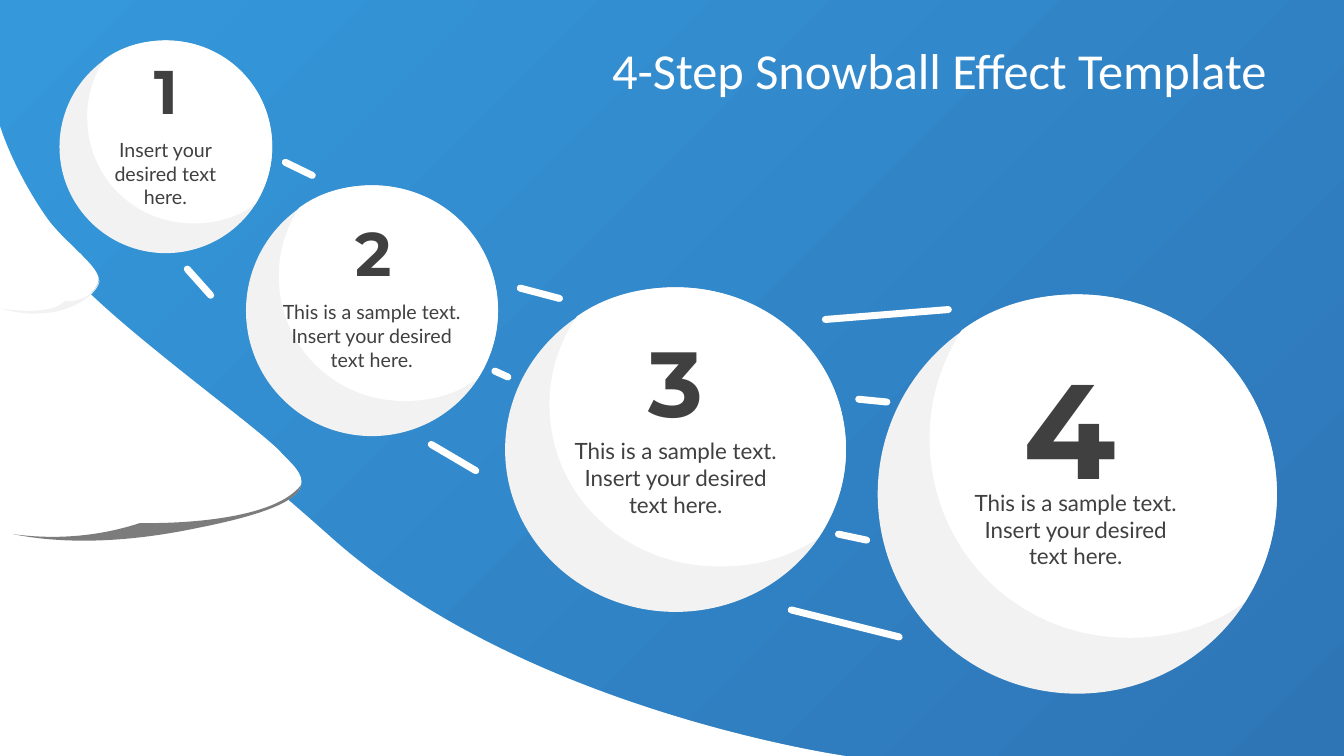
from dataclasses import dataclass

from lxml import etree
from pptx import Presentation
from pptx.dml.color import RGBColor
from pptx.enum.shapes import MSO_CONNECTOR, MSO_SHAPE
from pptx.enum.text import MSO_ANCHOR, PP_ALIGN
from pptx.oxml.ns import qn
from pptx.util import Cm, Pt

STRAIGHT = MSO_CONNECTOR.STRAIGHT
OVAL = MSO_SHAPE.OVAL
TOP, MIDDLE = MSO_ANCHOR.TOP, MSO_ANCHOR.MIDDLE
CENTER, RIGHT = PP_ALIGN.CENTER, PP_ALIGN.RIGHT

WHITE, SHADE, GREY, INK = "FFFFFF", "F2F2F2", "7C7C7C", "404040"
SKY_LIGHT, SKY_DARK = "3498DB", "2E75B6"
SAMPLE = "This is a sample text. Insert your desired text here."

Box = tuple[float, float, float, float]  # left, top, width, height in cm
Point = tuple[float, float]


@dataclass
class Outline:
    """A closed outline: each segment is a line (x, y) or a cubic curve (6 values)."""
    start: Point
    segments: list[tuple[float, ...]]
    fill: str = WHITE


@dataclass
class Label:
    """A text with its box and font."""
    text: str
    box: Box
    size: int
    font: str = "Lato"
    color: str = INK
    bold: bool = False
    anchor: MSO_ANCHOR = TOP
    align: PP_ALIGN = CENTER
    wrap: bool = True


@dataclass
class Snowball:
    """One step: the ball, its number and its caption."""
    ball: Box
    number: str
    number_box: Box
    number_size: int
    caption: str
    caption_box: Box
    caption_size: int


SNOWBALLS = [
    Snowball((1.5, 1.02, 5.36, 5.36), "1", (3.66, 1.32, 1.04, 1.88), 44,
             "Insert your desired text here.", (2.39, 3.48, 3.56, 1.8), 14),
    Snowball((6.2, 4.67, 6.35, 6.32), "2", (8.05, 5.41, 2.72, 1.88), 44,
             SAMPLE, (7.11, 7.57, 4.52, 1.8), 14),
    Snowball((12.73, 7.24, 8.59, 8.18), "3", (15.67, 8.66, 2.72, 1.88), 66,
             SAMPLE, (14.25, 11.02, 5.56, 2.06), 16),
    Snowball((22.12, 7.42, 10.06, 10.06), "4", (24.33, 9.22, 5.28, 3.02), 96,
             SAMPLE, (24.33, 12.32, 5.56, 2.06), 16),
]

# Lit part of a ball, as fractions of the ball's box
HIGHLIGHT = Outline((0.5, 0), [
    (0.39, 0, 0.29, 0.03, 0.21, 0.09), (0.16, 0.17, 0.13, 0.26, 0.13, 0.36),
    (0.13, 0.64, 0.35, 0.86, 0.63, 0.86), (0.74, 0.86, 0.84, 0.83, 0.92, 0.77),
    (0.97, 0.69, 1, 0.6, 1, 0.5), (1, 0.22, 0.78, 0, 0.5, 0)])

SPEED_LINES = [
    (7.19, 4.09, 7.87, 4.42), (4.72, 6.78, 5.31, 7.44),
    (13.11, 7.26, 14.1, 7.52), (12.47, 9.35, 12.8, 9.5),
    (10.87, 11.2, 11.99, 11.86), (20.8, 8.05, 23.9, 7.8),
    (21.64, 10.06, 22.35, 10.13), (21.13, 13.46, 21.84, 13.61),
    (19.94, 15.37, 22.66, 16.05),
]

SLOPE = Outline((0, 7.14), [
    (0, 19.05), (21.31, 19.05), (21.31, 19.05, 13.21, 17.91, 8.31, 13.51),
    (3.38, 9.12, 0, 7.14, 0, 7.14)])
LOWER_DRIFT = Outline((7.06, 11.38), [
    (6.55, 10.82, 3.33, 8.51, 1.98, 7.11), (1.14, 6.25, 0.43, 5.11, 0, 4.19),
    (0, 13.36), (0.76, 13.59, 2.41, 13.84, 4.95, 13.31),
    (8.66, 12.57, 7.54, 11.91, 7.06, 11.38)])
LOWER_SHADOW = Outline((4.95, 13.31), [
    (6.88, 12.93, 7.52, 12.57, 7.59, 12.22), (6.78, 13.28, 3.53, 13.18, 3.53, 13.18),
    (2.13, 13.64, 0.91, 13.54, 0.33, 13.46),
    (1.22, 13.64, 2.74, 13.77, 4.95, 13.31)], GREY)
UPPER_DRIFT = Outline((1.27, 5.61), [
    (0.94, 5.18, 0.33, 4.19, 0, 3.18), (0, 7.77),
    (0.28, 7.85, 0.61, 7.92, 0.89, 7.9), (1.8, 7.9, 2.44, 7.39, 2.49, 7.06),
    (2.51, 6.73, 1.7, 6.15, 1.27, 5.61)])
UPPER_SHADOW = Outline((2.51, 7.06), [
    (2.31, 7.65, 1.63, 7.59, 1.63, 7.59), (1.24, 8, 0.03, 7.77, 0, 7.77),
    (0.3, 7.85, 0.64, 7.92, 0.94, 7.9), (1.83, 7.9, 2.49, 7.39, 2.51, 7.06)], SHADE)

TITLE = Label("4-Step Snowball Effect Template", (1.95, 0.76, 30.23, 1.98), 36,
              "Calibri", WHITE, anchor=MIDDLE, align=RIGHT)


def rgb(color: str) -> RGBColor:
    """Turn a hex string into a colour."""
    return RGBColor.from_string(color)


def paint(sp, color: str) -> None:
    """Give a shape a flat fill without line or shadow."""
    sp.fill.solid()
    sp.fill.fore_color.rgb = rgb(color)
    sp.line.fill.background()
    sp.shadow.inherit = False


def bend(sp, segments: list[tuple[float, ...]]) -> None:
    """Merge the three line steps of each curved segment into one cubic curve."""
    steps = iter(list(sp._element.iter(qn("a:lnTo"))))
    for seg in segments:
        first = next(steps)
        if len(seg) == 2:
            continue
        curve = etree.Element(qn("a:cubicBezTo"))
        first.addprevious(curve)
        for step in (first, next(steps), next(steps)):
            curve.append(step[0])
            step.getparent().remove(step)


def add_outline(s, outline: Outline, frame: Box = (0, 0, 1, 1)) -> None:
    """Draw an outline, stretched into a frame."""
    x, y, w, h = frame
    points = [outline.start]
    for seg in outline.segments:
        points += zip(seg[::2], seg[1::2])
    points = [(Cm(x + px * w), Cm(y + py * h)) for px, py in points]
    builder = s.shapes.build_freeform(*points[0], scale=1.0)
    builder.add_line_segments(points[1:], close=True)
    sp = builder.convert_to_shape()
    bend(sp, outline.segments)
    paint(sp, outline.fill)


def add_label(s, label: Label, inset: float = 0) -> None:
    """Add a text box with one formatted paragraph."""
    tf = s.shapes.add_textbox(*map(Cm, label.box)).text_frame
    tf.word_wrap = label.wrap
    tf.vertical_anchor = label.anchor
    tf.margin_left = tf.margin_right = tf.margin_top = tf.margin_bottom = Cm(inset)
    p = tf.paragraphs[0]
    p.text = label.text
    p.alignment = label.align
    font = p.runs[0].font
    font.name, font.size, font.bold = label.font, Pt(label.size), label.bold
    font.color.rgb = rgb(label.color)


def add_snowball(s, step: Snowball) -> None:
    """Draw a ball with its highlight, number and caption."""
    paint(s.shapes.add_shape(OVAL, *map(Cm, step.ball)), SHADE)
    add_outline(s, HIGHLIGHT, step.ball)
    add_label(s, Label(step.caption, step.caption_box, step.caption_size))
    add_label(s, Label(step.number, step.number_box, step.number_size, "Montserrat",
                       bold=True, anchor=MIDDLE, wrap=False))


def add_speed_line(s, ends: Box) -> None:
    """Draw a white line with round ends."""
    sp = s.shapes.add_connector(STRAIGHT, *map(Cm, ends))
    sp.line.width = Pt(5)
    sp.line.color.rgb = rgb(WHITE)
    sp_pr = sp._element.spPr
    sp_pr.find(qn("a:ln")).set("cap", "rnd")
    etree.SubElement(sp_pr, qn("a:effectLst"))


def add_sky(s) -> None:
    """Fill the background with a diagonal blue gradient."""
    fill = s.background.fill
    fill.gradient()
    fill.gradient_angle = 315
    for stop, color, position in zip(fill.gradient_stops, (SKY_LIGHT, SKY_DARK), (0.01, 1)):
        stop.color.rgb = rgb(color)
        stop.position = position


prs = Presentation()
prs.slide_width, prs.slide_height = Cm(33.87), Cm(19.05)
s = prs.slides.add_slide(prs.slide_layouts[6])
add_sky(s)
for snowball in SNOWBALLS:
    add_snowball(s, snowball)
for speed_line in SPEED_LINES:
    add_speed_line(s, speed_line)
for snow in (SLOPE, LOWER_DRIFT, LOWER_SHADOW, UPPER_DRIFT, UPPER_SHADOW):
    add_outline(s, snow)
add_label(s, TITLE, inset=0.25)
prs.save("out.pptx")
